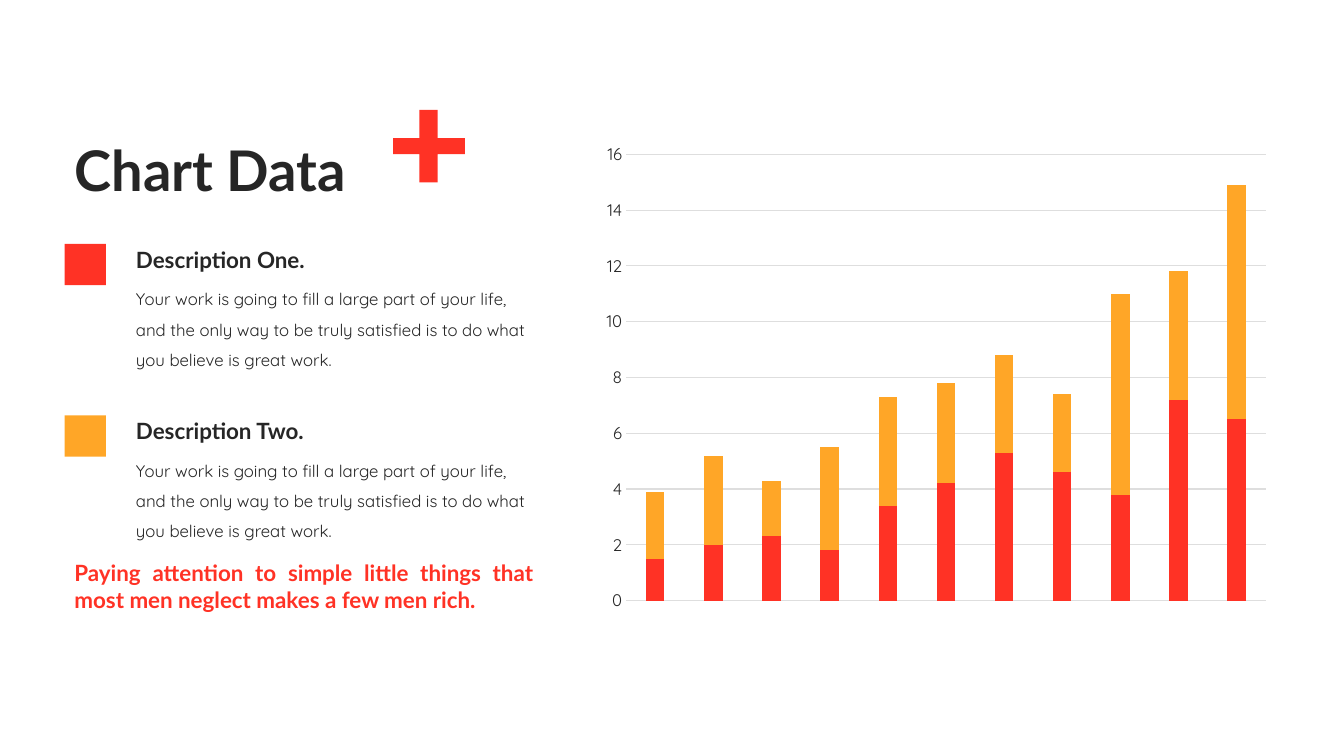
from pptx import Presentation
from pptx.chart.data import CategoryChartData
from pptx.dml.color import RGBColor
from pptx.enum import chart as ch, shapes, text
from pptx.util import Inches, Pt

RED, ORANGE, DARK, GRID = "FF3225", "FFA627", "262626", "DEDEDE"
HEADING, BODY = "Lato", "Quicksand"
QUOTE = "Paying attention to simple little things that most men neglect makes a few men rich."
DESCRIPTION = ("Your work is going to fill a large part of your life, and the only way "
               "to be truly satisfied is to do what you believe is great work.")
ENTRIES = [("Description One.", RED), ("Description Two.", ORANGE)]
SERIES = [
    ("Series 1", RED, (1.5, 2, 2.3, 1.8, 3.4, 4.2, 5.3, 4.6, 3.8, 7.2, 6.5)),
    ("Series 2", ORANGE, (2.4, 3.2, 2, 3.7, 3.9, 3.6, 3.5, 2.8, 7.2, 4.6, 8.4)),
]


def rgb(value):
    """Turn a hex string into a colour."""
    return RGBColor.from_string(value)


def style_font(font, name, size, color, bold=False):
    """Set typeface, size, colour and weight."""
    font.name, font.size, font.bold = name, Pt(size), bold
    font.color.rgb = rgb(color)


def paint(shape, color):
    """Give a shape a plain fill without line or shadow."""
    shape.shadow.inherit = False
    shape.fill.solid()
    shape.fill.fore_color.rgb = rgb(color)
    shape.line.fill.background()


def add_text(slide, box, words, name, size, color, bold=False, spacing=None, align=None):
    """Add a wrapped text box holding one paragraph."""
    frame = slide.shapes.add_textbox(*map(Inches, box)).text_frame
    frame.word_wrap = True
    paragraph = frame.paragraphs[0]
    paragraph.text = words
    paragraph.line_spacing = spacing
    paragraph.alignment = align
    style_font(paragraph.font, name, size, color, bold)


def add_title(slide, words):
    """Place and format the title placeholder."""
    title = slide.shapes.title
    title.left, title.top, title.width, title.height = map(Inches, (0.64, 1, 5.08, 1.45))
    title.text_frame.vertical_anchor = text.MSO_ANCHOR.MIDDLE
    paragraph = title.text_frame.paragraphs[0]
    paragraph.text = words
    paragraph.alignment = text.PP_ALIGN.LEFT
    paragraph.line_spacing = 0.9
    style_font(paragraph.font, HEADING, 40, DARK, True)


def add_plus(slide):
    """Draw the red plus sign beside the title."""
    x0, x1, x2, x3 = map(Inches, (3.9, 4.16, 4.34, 4.61))
    y0, y1, y2, y3 = map(Inches, (1.09, 1.37, 1.53, 1.81))
    outline = slide.shapes.build_freeform(x1, y0)
    outline.add_line_segments([
        (x2, y0), (x2, y1), (x3, y1), (x3, y2), (x2, y2), (x2, y3),
        (x1, y3), (x1, y2), (x0, y2), (x0, y1), (x1, y1)])
    paint(outline.convert_to_shape(), RED)


def add_entry(slide, top, heading, color):
    """Add a colour key with its heading and description."""
    key = slide.shapes.add_shape(
        shapes.MSO_SHAPE.RECTANGLE, *map(Inches, (0.64, top, 0.41, 0.41)))
    paint(key, color)
    add_text(slide, (1.25, top - 0.03, 2.09, 0.37), heading, HEADING, 16, DARK, bold=True)
    add_text(slide, (1.25, top + 0.3, 4.15, 1), DESCRIPTION, BODY, 12, DARK, spacing=1.5)


def add_column_chart(slide):
    """Add the stacked column chart."""
    data = CategoryChartData()
    data.categories = [str(i + 1) for i in range(len(SERIES[0][2]))]
    for name, _, values in SERIES:
        data.add_series(name, values)
    chart = slide.shapes.add_chart(
        ch.XL_CHART_TYPE.COLUMN_STACKED, *map(Inches, (5.88, 1.33, 6.81, 4.83)), data).chart
    chart.has_title = chart.has_legend = False
    style_font(chart.font, BODY, 10, DARK)
    chart.category_axis.visible = False
    axis = chart.value_axis
    axis.minimum_scale, axis.maximum_scale, axis.major_unit = 0, 16, 2
    axis.major_tick_mark = axis.minor_tick_mark = ch.XL_TICK_MARK.NONE
    axis.format.line.fill.background()
    style_font(axis.tick_labels.font, BODY, 12, DARK)
    grid = axis.major_gridlines.format.line
    grid.color.rgb, grid.width = rgb(GRID), Pt(0.75)
    plot = chart.plots[0]
    plot.vary_by_categories = False
    plot.gap_width, plot.overlap = 215, 100
    for series, (_, color, _) in zip(plot.series, SERIES):
        series.format.fill.solid()
        series.format.fill.fore_color.rgb = rgb(color)


def main():
    """Build and save the slide."""
    deck = Presentation()
    deck.slide_width, deck.slide_height = Inches(13.33), Inches(7.5)
    slide = deck.slides.add_slide(deck.slide_layouts[5])
    add_title(slide, "Chart Data")
    add_plus(slide)
    add_column_chart(slide)
    for i, (heading, color) in enumerate(ENTRIES):
        add_entry(slide, 2.42 + 1.7 * i, heading, color)
    add_text(slide, (0.64, 5.5, 4.75, 0.64), QUOTE, HEADING, 16, RED, bold=True,
             align=text.PP_ALIGN.JUSTIFY)
    deck.save("out.pptx")


if __name__ == "__main__":
    main()
